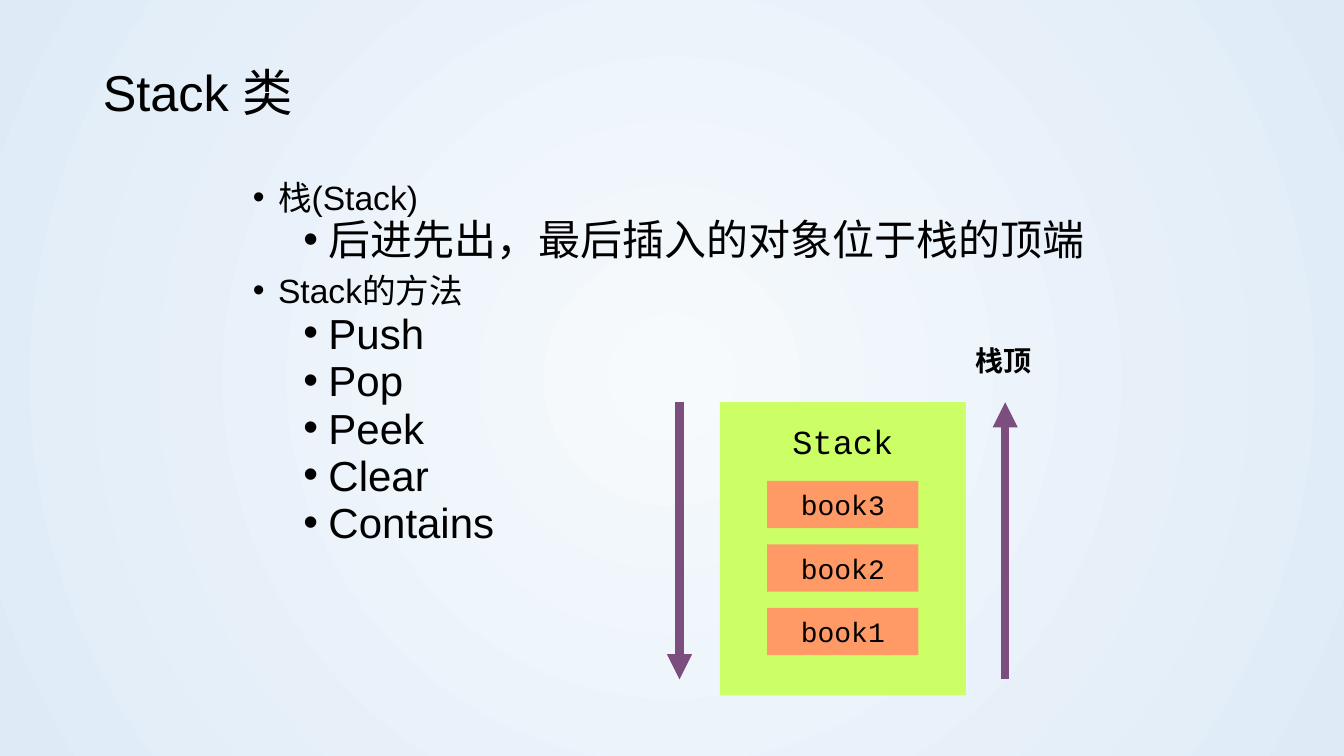
from dataclasses import dataclass

from lxml import etree
from pptx import Presentation
from pptx.dml.color import RGBColor
from pptx.enum.shapes import MSO_CONNECTOR, MSO_SHAPE
from pptx.enum.text import MSO_ANCHOR as Anchor, PP_ALIGN as Align
from pptx.oxml import parse_xml
from pptx.oxml.ns import nsdecls, qn
from pptx.util import Inches, Pt

BLACK = RGBColor(0x00, 0x00, 0x00)
CENTRE_BLUE = RGBColor(0xF7, 0xFA, 0xFD)
EDGE_BLUE = RGBColor(0xDE, 0xEB, 0xF7)
LIME = RGBColor(0xCC, 0xFF, 0x66)
ORANGE = RGBColor(0xFF, 0x99, 0x66)
PURPLE = RGBColor(0x7C, 0x4E, 0x7E)
SANS, MONO = "Arial", "Courier New"


@dataclass(frozen=True)
class Box:
    left: float
    top: float
    width: float
    height: float

    def lengths(self):
        return [Inches(n) for n in (self.left, self.top, self.width, self.height)]


@dataclass(frozen=True)
class Bullet:
    text: str
    level: int = 0


@dataclass(frozen=True)
class Arrow:
    x: float
    end: str


BULLETS = [
    Bullet("栈(Stack)"),
    Bullet("后进先出，最后插入的对象位于栈的顶端", 1),
    Bullet("Stack的方法"),
    *(Bullet(method, 1) for method in ("Push", "Pop", "Peek", "Clear", "Contains")),
]
LEVEL_SIZES, LEVEL_SPACES, LEVEL_INDENTS = (24, 30), (10, 5), (0.25, 0.75)
BOOKS = ["book3", "book2", "book1"]
BOOK_TOP, BOOK_STEP = 4.77, 0.63
ARROWS = [Arrow(6.74, "a:tailEnd"), Arrow(9.97, "a:headEnd")]
ARROW_TOP, ARROW_BOTTOM = 3.99, 6.74


def write(paragraph, text: str, *, size: float, font: str = SANS, bold: bool = False,
          align=Align.LEFT, line_spacing: float = 1.0, space_before: float = 0) -> None:
    paragraph.alignment = align
    paragraph.line_spacing = line_spacing
    paragraph.space_before = Pt(space_before)
    run = paragraph.add_run()
    run.text = text
    run.font.name = font
    run.font.size = Pt(size)
    run.font.bold = bold
    run.font.color.rgb = BLACK


def add_bullet(paragraph, level: int) -> None:
    paragraph.level = level
    properties = paragraph._p.get_or_add_pPr()
    properties.set("marL", str(Inches(LEVEL_INDENTS[level])))
    properties.set("indent", str(-Inches(0.25)))
    etree.SubElement(properties, qn("a:buFont"), typeface=SANS)
    etree.SubElement(properties, qn("a:buChar"), char="•")


def add_rectangle(slide, box: Box, color: RGBColor):
    shape = slide.shapes.add_shape(MSO_SHAPE.RECTANGLE, *box.lengths())
    shape.shadow.inherit = False
    shape.fill.solid()
    shape.fill.fore_color.rgb = color
    shape.line.fill.background()
    return shape


def add_label(shape, text: str, size: float) -> None:
    frame = shape.text_frame
    frame.word_wrap = False
    frame.vertical_anchor = Anchor.MIDDLE
    write(frame.paragraphs[0], text, size=size, font=MONO, align=Align.CENTER)


def add_arrow(slide, arrow: Arrow) -> None:
    x = Inches(arrow.x)
    connector = slide.shapes.add_connector(
        MSO_CONNECTOR.STRAIGHT, x, Inches(ARROW_TOP), x, Inches(ARROW_BOTTOM))
    connector.line.color.rgb = PURPLE
    connector.line.width = Pt(6)
    etree.SubElement(connector.line._get_or_add_ln(), qn(arrow.end), type="triangle")
    etree.SubElement(connector._element.spPr, qn("a:effectLst"))


def set_background(slide) -> None:
    fill = slide.background.fill
    fill.gradient()
    for stop, color in zip(fill.gradient_stops, (CENTRE_BLUE, EDGE_BLUE)):
        stop.color.rgb = color
    linear = next(slide._element.iter(qn("a:lin")))
    circle = parse_xml(
        f'<a:path {nsdecls("a")} path="circle">'
        '<a:fillToRect l="50000" t="50000" r="50000" b="50000"/></a:path>')
    linear.getparent().replace(linear, circle)


def main() -> None:
    presentation = Presentation()
    presentation.slide_width = Inches(13.33)
    presentation.slide_height = Inches(7.5)
    slide = presentation.slides.add_slide(presentation.slide_layouts[5])
    set_background(slide)

    # Title
    title = slide.shapes.title
    title.left, title.top, title.width, title.height = Box(0.92, 0.4, 11.5, 1.08).lengths()
    title.text_frame.vertical_anchor = Anchor.MIDDLE
    write(title.text_frame.paragraphs[0], "Stack 类", size=36, line_spacing=0.9)

    # Bulleted list
    body = slide.shapes.add_textbox(*Box(2.41, 1.78, 8.5, 4.88).lengths()).text_frame
    body.word_wrap = True
    for index, bullet in enumerate(BULLETS):
        paragraph = body.add_paragraph() if index else body.paragraphs[0]
        add_bullet(paragraph, bullet.level)
        write(paragraph, bullet.text, size=LEVEL_SIZES[bullet.level], line_spacing=0.8,
              space_before=LEVEL_SPACES[bullet.level] if index else 0)

    # Stack of books
    add_rectangle(slide, Box(7.14, 3.99, 2.44, 2.91), LIME)
    for index, book in enumerate(BOOKS):
        box = Box(7.61, BOOK_TOP + index * BOOK_STEP, 1.5, 0.47)
        add_label(add_rectangle(slide, box, ORANGE), book, 20)
    heading = slide.shapes.add_textbox(*Box(7.61, 4.14, 1.5, 0.47).lengths())
    add_label(heading, "Stack", 24)

    # Top of the stack and direction arrows
    top_label = slide.shapes.add_textbox(*Box(9.58, 3.36, 1.34, 0.44).lengths()).text_frame
    top_label.word_wrap = True
    write(top_label.paragraphs[0], "栈顶", size=20, font=MONO, bold=True)
    for arrow in ARROWS:
        add_arrow(slide, arrow)

    presentation.save("out.pptx")


if __name__ == "__main__":
    main()
